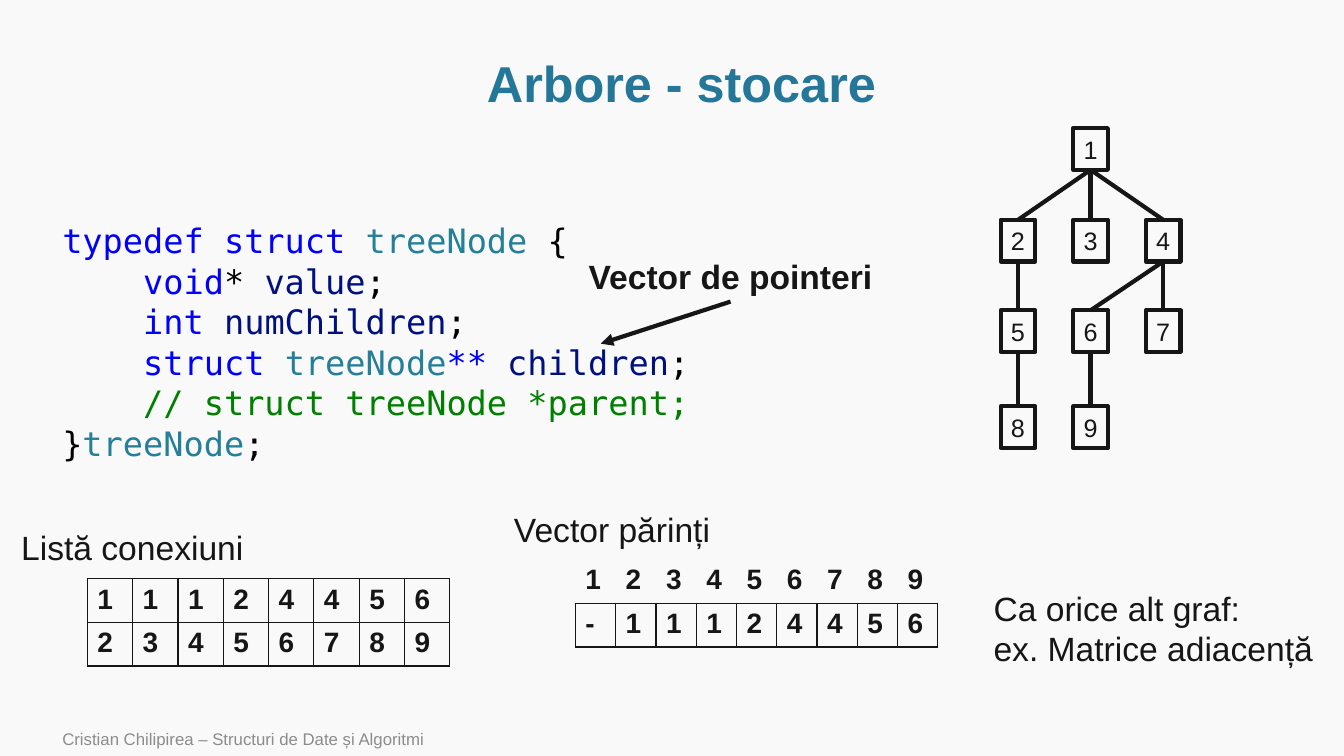
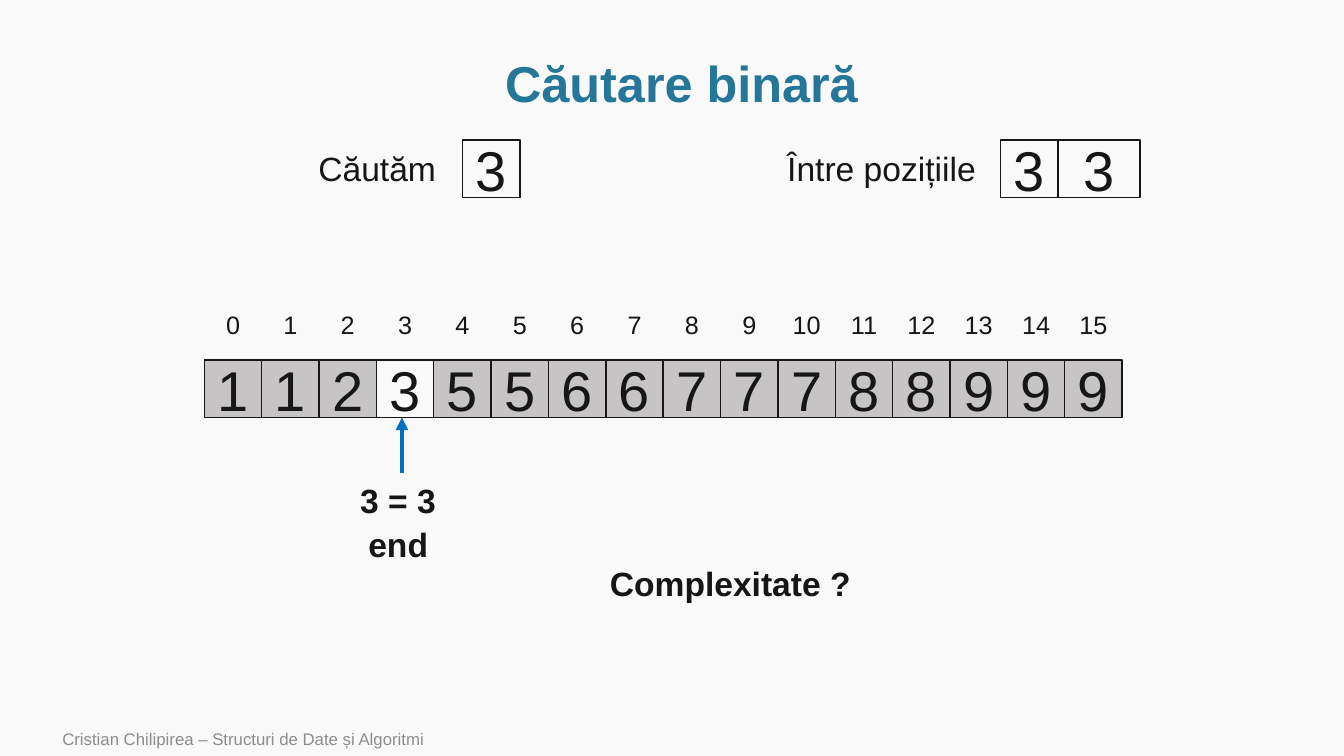
"""Build two slides on storing trees and on binary search."""

import dataclasses
import typing

import lxml.etree
import pptx
import pptx.dml.color
import pptx.enum.dml
import pptx.enum.shapes
import pptx.enum.text
import pptx.oxml.ns
import pptx.util

Cm = pptx.util.Cm
Pt = pptx.util.Pt
RGBColor = pptx.dml.color.RGBColor
Align = pptx.enum.text.PP_ALIGN
Anchor = pptx.enum.text.MSO_ANCHOR
qn = pptx.oxml.ns.qn

BACKGROUND = RGBColor(0xF9, 0xF9, 0xF9)
INK = RGBColor(0x17, 0x16, 0x16)
TITLE_BLUE = RGBColor(0x24, 0x77, 0x98)
FOOTER_GREY = RGBColor(0x8C, 0x8C, 0x8C)
DISCARDED_GREY = RGBColor(0xC6, 0xC4, 0xC4)
ARROW_BLUE = RGBColor(0x00, 0x70, 0xC0)
KEYWORD = RGBColor(0x00, 0x00, 0xFF)
TYPE_NAME = RGBColor(0x26, 0x7F, 0x99)
VARIABLE = RGBColor(0x00, 0x10, 0x80)
COMMENT = RGBColor(0x00, 0x80, 0x00)
PLAIN = RGBColor(0x00, 0x00, 0x00)

FOOTER = "Cristian Chilipirea – Structuri de Date și Algoritmi"


class Box(typing.NamedTuple):
    """Place and size in centimetres."""

    left: float
    top: float
    width: float
    height: float

    def lengths(self) -> list[Cm]:
        """Return the four values as lengths."""
        return [Cm(value) for value in self]


class Span(typing.NamedTuple):
    """Piece of a code line in one colour."""

    text: str
    color: RGBColor


@dataclasses.dataclass(frozen=True)
class Style:
    """Look of a text."""

    size: float
    color: RGBColor = INK
    bold: bool = False
    name: str = "Arial"
    align: Align = Align.CENTER
    spacing: float | Pt = 1.0


@dataclasses.dataclass(frozen=True)
class Label:
    """Free text on a slide."""

    lines: tuple[str, ...]
    box: Box
    style: Style
    wrap: bool = False


@dataclasses.dataclass(frozen=True)
class TreeNode:
    """Tree node on the column and row grid."""

    value: int
    column: int
    row: int
    parent: int | None = None


@dataclasses.dataclass(frozen=True)
class Grid:
    """Table of values, with or without a framed first row."""

    rows: tuple[str, ...]
    left: float
    top: float
    framed_header: bool


TITLE = Style(36, TITLE_BLUE, bold=True, spacing=0.9)
TEXT = Style(24)
STRONG = Style(24, bold=True)
PARAGRAPH = Style(24, align=Align.LEFT)
SMALL = Style(18)
DIGIT = Style(40)
TABLE_TEXT = Style(20, bold=True, align=Align.LEFT)
FOOTER_TEXT = Style(12, FOOTER_GREY, align=Align.LEFT)
CODE = Style(24, name="DejaVu Sans Mono", align=Align.LEFT, spacing=Pt(29))

TITLE_BOX = Box(2.57, 1.3, 29.21, 1.75)
FOOTER_BOX = Box(1.32, 18.19, 21.34, 0.86)
CODE_BOX = Box(1.32, 5.41, 17.45, 6.4)
TABLE_WIDTH, TABLE_ROW = 9.14, 1.1
NODE_WIDTH, NODE_HEIGHT = 0.87, 1.05
NODE_LEFT, NODE_PITCH = 25.22, 1.83
NODE_TOPS = (3.23, 5.54, 7.82, 10.24)
ARRAY = (1, 1, 2, 3, 5, 5, 6, 6, 7, 7, 7, 8, 8, 9, 9, 9)
FOUND = 3
ARRAY_LEFT, ARRAY_TOP, INDEX_TOP = 5.15, 9.07, 7.67
CELL = 23.13 / len(ARRAY)

CODE_LINES = (
    (Span("typedef struct ", KEYWORD), Span("treeNode", TYPE_NAME), Span(" {", PLAIN)),
    (Span("    ", PLAIN), Span("void", KEYWORD), Span("* ", PLAIN),
     Span("value", VARIABLE), Span(";", PLAIN)),
    (Span("    ", PLAIN), Span("int ", KEYWORD), Span("numChildren", VARIABLE),
     Span(";", PLAIN)),
    (Span("    ", PLAIN), Span("struct ", KEYWORD), Span("treeNode", TYPE_NAME),
     Span("** ", KEYWORD), Span("children", VARIABLE), Span(";", PLAIN)),
    (Span("    ", PLAIN), Span("// struct treeNode *parent;", COMMENT)),
    (Span("}", PLAIN), Span("treeNode", TYPE_NAME), Span(";", PLAIN)),
)
TREE = (
    TreeNode(1, 1, 0),
    TreeNode(2, 0, 1, 1), TreeNode(3, 1, 1, 1), TreeNode(4, 2, 1, 1),
    TreeNode(5, 0, 2, 2), TreeNode(6, 1, 2, 4), TreeNode(7, 2, 2, 4),
    TreeNode(8, 0, 3, 5), TreeNode(9, 1, 3, 6),
)
GRIDS = (
    Grid(("11124456", "23456789"), 2.2, 14.58, True),
    Grid(("123456789", "-11124456"), 14.5, 14.1, False),
)
POINTER_LABEL = Label(("Vector de pointeri",), Box(14.55, 6.32, 7.72, 1.28), STRONG)
STORAGE_LABELS = (
    Label(("Listă conexiuni",), Box(0.25, 13.16, 6.17, 1.28), TEXT),
    Label(("Vector părinți",), Box(12.67, 12.7, 5.51, 1.28), TEXT),
    Label(("Ca orice alt graf:", "ex. Matrice adiacență"),
          Box(24.79, 14.68, 8.81, 2.31), PARAGRAPH, wrap=True),
)
SEARCH_LABELS = (
    Label(("3 = 3",), Box(8.81, 11.96, 2.44, 1.28), STRONG),
    Label(("end",), Box(9.02, 13.08, 2.03, 1.28), STRONG),
    Label(("Complexitate ?",), Box(15.09, 14.07, 6.63, 1.28), STRONG),
    Label(("Căutăm",), Box(7.75, 3.61, 3.51, 1.28), TEXT),
    Label(("Între pozițiile",), Box(19.56, 3.61, 5.31, 1.28), TEXT),
)
QUERY_BOXES = (
    Box(11.66, 3.53, CELL, CELL),
    Box(25.22, 3.53, CELL, CELL),
    Box(26.67, 3.53, 2.06, CELL),
)


def apply_format(target: typing.Any, values: dict[str, typing.Any]) -> None:
    """Set each attribute named in the values."""
    for name, value in values.items():
        setattr(target, name, value)


def write(frame: typing.Any, lines: typing.Iterable, style: Style) -> None:
    """Fill a text frame with lines of text or of coloured spans."""
    for index, line in enumerate(lines):
        paragraph = frame.add_paragraph() if index else frame.paragraphs[0]
        apply_format(paragraph, {"alignment": style.align, "line_spacing": style.spacing})
        spans = (Span(line, style.color),) if isinstance(line, str) else line
        for span in spans:
            run = paragraph.add_run()
            run.text = span.text
            apply_format(run.font, {"name": style.name, "size": Pt(style.size),
                                    "bold": style.bold})
            run.font.color.rgb = span.color


def add_text(slide: typing.Any, lines: typing.Iterable, box: Box, style: Style,
             wrap: bool = True, anchor: Anchor = Anchor.TOP) -> typing.Any:
    """Add a text box."""
    shape = slide.shapes.add_textbox(*box.lengths())
    apply_format(shape.text_frame, {"word_wrap": wrap, "vertical_anchor": anchor})
    write(shape.text_frame, lines, style)
    return shape


def add_label(slide: typing.Any, label: Label) -> typing.Any:
    """Add a label."""
    return add_text(slide, label.lines, label.box, label.style, label.wrap)


def add_square(slide: typing.Any, value: int, box: Box, style: Style, line_width: float,
               fill: RGBColor | None = None, wrap: bool = True) -> typing.Any:
    """Add an outlined rectangle that holds a number."""
    shape = slide.shapes.add_shape(pptx.enum.shapes.MSO_SHAPE.RECTANGLE, *box.lengths())
    shape.shadow.inherit = False
    if fill is None:
        shape.fill.background()
    else:
        shape.fill.solid()
        shape.fill.fore_color.rgb = fill
    shape.line.color.rgb = INK
    shape.line.width = Pt(line_width)
    apply_format(shape.text_frame, {"word_wrap": wrap, "vertical_anchor": Anchor.MIDDLE})
    write(shape.text_frame, [str(value)], style)
    return shape


def add_line(slide: typing.Any, start: tuple[float, float] = (0, 0),
             end: tuple[float, float] = (0, 0), color: RGBColor = INK,
             arrow: bool = False) -> typing.Any:
    """Add a straight connector, with an arrowhead at its end if asked."""
    connector = slide.shapes.add_connector(
        pptx.enum.shapes.MSO_CONNECTOR.STRAIGHT, *(Cm(value) for value in start + end))
    connector.line.color.rgb = color
    connector.line.width = Pt(3)
    properties = connector._element.spPr
    if arrow:
        lxml.etree.SubElement(properties.find(qn("a:ln")), qn("a:tailEnd"), type="triangle")
    lxml.etree.SubElement(properties, qn("a:effectLst"))
    return connector


def set_borders(cell: typing.Any, sides: str) -> None:
    """Draw the given sides of a cell and clear the others."""
    properties = cell._tc.get_or_add_tcPr()
    for side in "LRTB":
        line = lxml.etree.SubElement(properties, qn(f"a:ln{side}"), w=str(Pt(1)))
        if side in sides:
            fill = lxml.etree.SubElement(line, qn("a:solidFill"))
            lxml.etree.SubElement(fill, qn("a:srgbClr"), val=str(INK))
        else:
            lxml.etree.SubElement(line, qn("a:noFill"))


def add_grid(slide: typing.Any, grid: Grid) -> None:
    """Add a table with one character in each cell."""
    columns = len(grid.rows[0])
    box = Box(grid.left, grid.top, TABLE_WIDTH, TABLE_ROW * len(grid.rows))
    table = slide.shapes.add_table(len(grid.rows), columns, *box.lengths()).table
    apply_format(table, {"first_row": False, "horz_banding": False})
    for column in table.columns:
        column.width = Cm(TABLE_WIDTH / columns)
    for row_index, values in enumerate(grid.rows):
        table.rows[row_index].height = Cm(TABLE_ROW)
        for column_index, value in enumerate(values):
            cell = table.cell(row_index, column_index)
            set_borders(cell, "LRTB" if row_index or grid.framed_header else "B")
            cell.fill.background()
            write(cell.text_frame, [value], TABLE_TEXT)


def add_tree(slide: typing.Any) -> None:
    """Add the tree nodes and join each one to its parent."""
    shapes = {}
    for node in TREE:
        box = Box(NODE_LEFT + NODE_PITCH * node.column, NODE_TOPS[node.row],
                  NODE_WIDTH, NODE_HEIGHT)
        shapes[node.value] = add_square(slide, node.value, box, SMALL, 3, wrap=False)
        if node.parent is not None:
            edge = add_line(slide)
            edge.begin_connect(shapes[node.parent], 2)
            edge.end_connect(shapes[node.value], 0)


def new_slide(presentation: typing.Any, title: str) -> typing.Any:
    """Add a slide with its title and footer."""
    slide = presentation.slides.add_slide(presentation.slide_layouts[5])
    shape = slide.shapes.title
    apply_format(shape, dict(zip(Box._fields, TITLE_BOX.lengths())))
    apply_format(shape.text_frame, {"word_wrap": True, "vertical_anchor": Anchor.MIDDLE})
    write(shape.text_frame, [title], TITLE)
    add_text(slide, [FOOTER], FOOTER_BOX, FOOTER_TEXT, anchor=Anchor.MIDDLE)
    return slide


def build_storage(presentation: typing.Any) -> None:
    """Build the slide on storing a tree."""
    slide = new_slide(presentation, "Arbore - stocare")
    add_text(slide, CODE_LINES, CODE_BOX, CODE)
    add_tree(slide)
    for grid in GRIDS:
        add_grid(slide, grid)
    for label in STORAGE_LABELS:
        add_label(slide, label)
    pointer = add_line(slide, end=(15.14, 8.66), arrow=True)
    pointer.begin_connect(add_label(slide, POINTER_LABEL), 2)


def build_search(presentation: typing.Any) -> None:
    """Build the slide on binary search."""
    slide = new_slide(presentation, "Căutare binară")
    for index, value in enumerate(ARRAY):
        left = ARRAY_LEFT + CELL * index
        fill = None if index == FOUND else DISCARDED_GREY
        add_square(slide, value, Box(left, ARRAY_TOP, CELL, CELL), DIGIT, 1, fill)
        add_label(slide, Label((str(index),), Box(left, INDEX_TOP, CELL, 1.02), SMALL))
    for box in QUERY_BOXES:
        add_square(slide, ARRAY[FOUND], box, DIGIT, 1)
    add_line(slide, (10.13, 11.91), (10.13, 10.52), ARROW_BLUE, arrow=True)
    for label in SEARCH_LABELS:
        add_label(slide, label)


def main() -> None:
    """Build and save the presentation."""
    presentation = pptx.Presentation()
    apply_format(presentation, {"slide_width": Cm(33.87), "slide_height": Cm(19.05)})
    background = presentation.slide_master.background.fill
    background.solid()
    background.fore_color.rgb = BACKGROUND
    build_storage(presentation)
    build_search(presentation)
    presentation.save("out.pptx")


if __name__ == "__main__":
    main()
